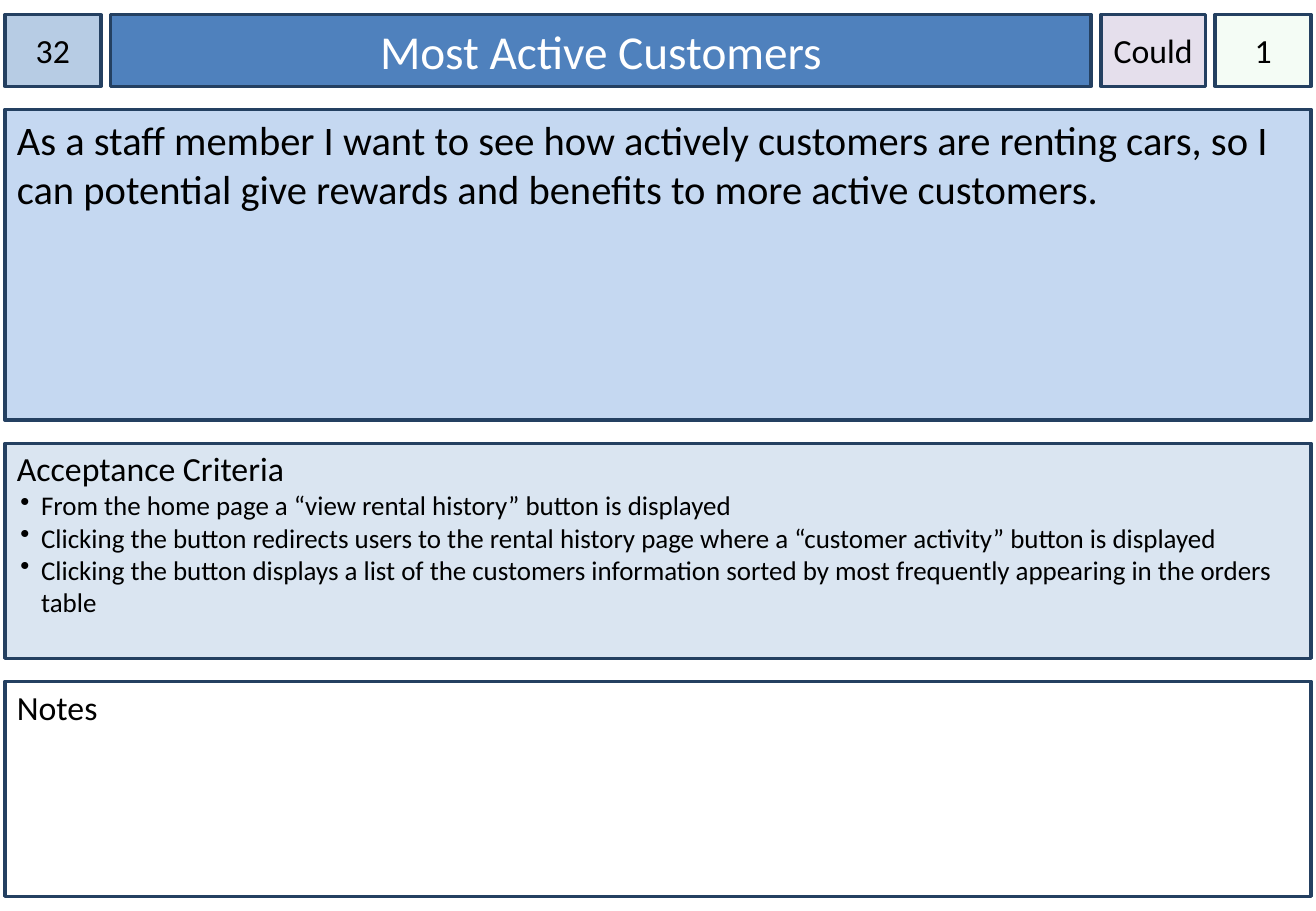
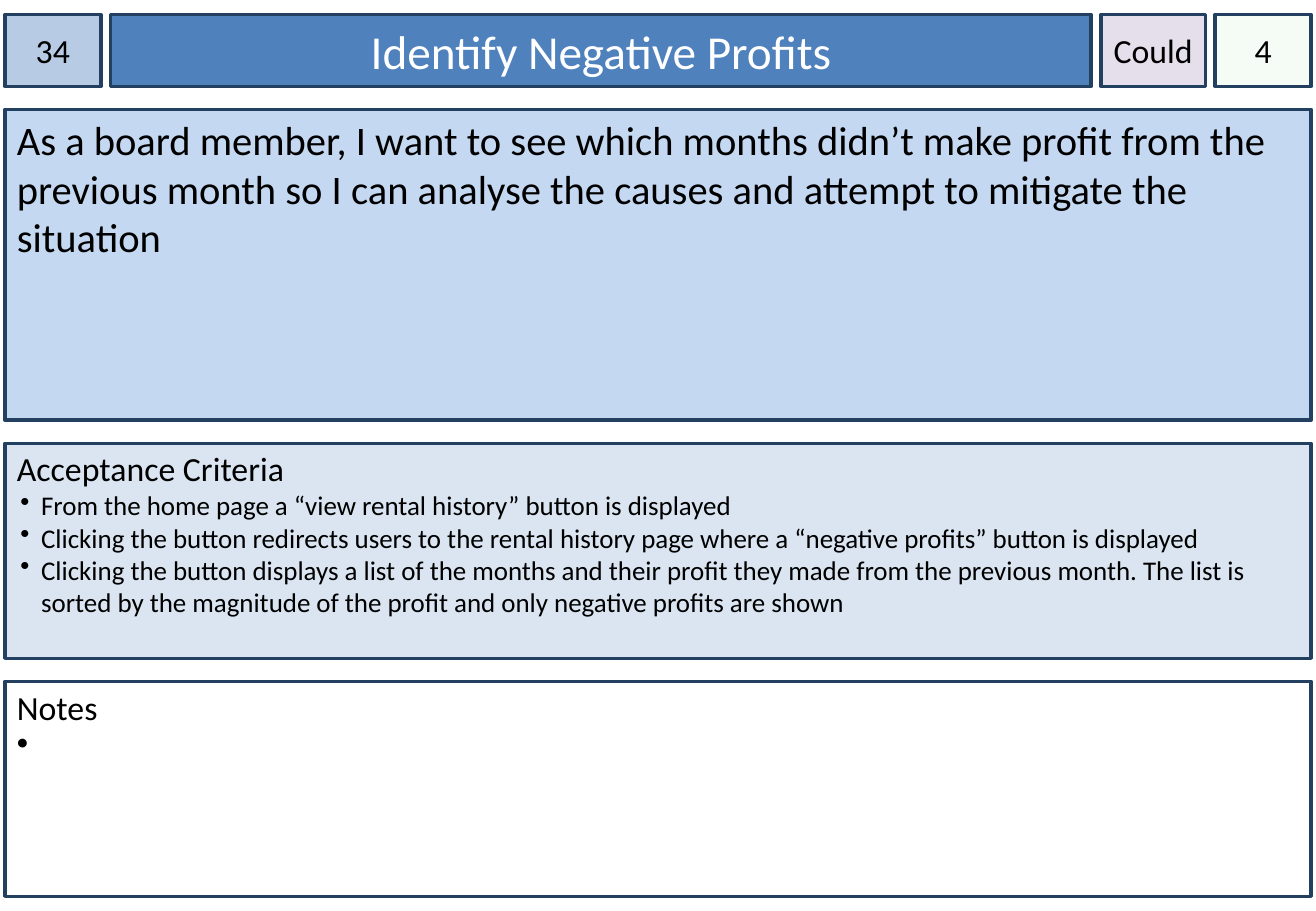
"""Build user story cards, one per slide."""
from dataclasses import dataclass
from typing import Any

import lxml.etree
import pptx
import pptx.dml.color
import pptx.enum.shapes
import pptx.enum.text
import pptx.oxml.ns
import pptx.slide
import pptx.util

Inches = pptx.util.Inches
Pt = pptx.util.Pt
qn = pptx.oxml.ns.qn
ALIGN = pptx.enum.text.PP_ALIGN
ANCHOR = pptx.enum.text.MSO_ANCHOR

COLORS = {
    "line": "244061", "text": "000000", "white": "FFFFFF",
    "number": "B7CCE4", "title": "4F81BD", "priority": "E5DFEC",
    "estimate": "CCF0CD", "story": "C5D8F1", "criteria": "DAE5F1",
    "notes": "FFFFFF",
}
LEFT, TOP = 0.04, 0.12
HEADER_GAP, ROW_GAP = 0.08, 0.19
HEADER_HEIGHT, FULL_WIDTH = 0.59, 10.75
HEADER_WIDTHS = {"number": 0.79, "title": 8.07, "priority": 0.86, "estimate": 0.79}
ROW_HEIGHTS = {"story": 2.56, "criteria": 1.77, "notes": 1.77}
OPACITY = {"estimate": 20}
TITLE_INSET, PANEL_INSET = 0.1, 0.04


@dataclass
class Para:
    text: str
    size: int = 20
    color: str = "text"
    hanging: float = 0.0


@dataclass
class Card:
    number: str
    title: str
    priority: str
    estimate: str
    story: str
    criteria: list[str]
    notes: list[str]


CARDS = [
    Card("32", "Most Active Customers", "Could", "1",
         "As a staff member I want to see how actively customers are renting cars, "
         "so I can potential give rewards and benefits to more active customers.",
         ["From the home page a “view rental history” button is displayed",
          "Clicking the button redirects users to the rental history page where a "
          "“customer activity” button is displayed",
          "Clicking the button displays a list of the customers information sorted by "
          "most frequently appearing in the orders table"],
         []),
    Card("34", "Identify Negative Profits", "Could", "4",
         "As a board member, I want to see which months didn’t make profit from the "
         "previous month so I can analyse the causes and attempt to mitigate the situation",
         ["From the home page a “view rental history” button is displayed",
          "Clicking the button redirects users to the rental history page where a "
          "“negative profits” button is displayed",
          "Clicking the button displays a list of the months and their profit they made "
          "from the previous month. The list is sorted by the magnitude of the profit "
          "and only negative profits are shown"],
         [" "]),
]


def rgb(name: str) -> pptx.dml.color.RGBColor:
    return pptx.dml.color.RGBColor.from_string(COLORS[name])


def apply(target: Any, values: dict[str, Any]) -> None:
    for name, value in values.items():
        setattr(target, name, value)


def add_bullet(p: Any, hanging: float) -> None:
    pPr = p._p.get_or_add_pPr()
    pPr.set("marL", str(Inches(0.2)))
    pPr.set("indent", str(-Inches(hanging)))
    clr = lxml.etree.SubElement(pPr, qn("a:buClr"))
    lxml.etree.SubElement(clr, qn("a:srgbClr"), val=COLORS["text"])
    lxml.etree.SubElement(pPr, qn("a:buChar"), char="•")


def add_box(s: pptx.slide.Slide, kind: str, x: float, y: float, w: float, h: float,
            paras: list[Para], align: Any, frame: dict[str, Any]) -> None:
    sp = s.shapes.add_shape(pptx.enum.shapes.MSO_SHAPE.RECTANGLE,
                            Inches(x), Inches(y), Inches(w), Inches(h))
    sp.shadow.inherit = False
    sp.fill.solid()
    sp.fill.fore_color.rgb = rgb(kind)
    if kind in OPACITY:
        clr = sp._element.spPr.find(qn("a:solidFill")).find(qn("a:srgbClr"))
        lxml.etree.SubElement(clr, qn("a:alpha"), val=str(OPACITY[kind] * 1000))
    sp.line.color.rgb = rgb("line")
    sp.line.width = Pt(2)
    tf = sp.text_frame
    apply(tf, {"word_wrap": True, **frame})
    for i, para in enumerate(paras):
        p = tf.add_paragraph() if i else tf.paragraphs[0]
        p.alignment = align
        if para.hanging:
            add_bullet(p, para.hanging)
        r = p.add_run()
        r.text = para.text
        apply(r.font, {"name": "Calibri", "size": Pt(para.size)})
        r.font.color.rgb = rgb(para.color)


def add_header(s: pptx.slide.Slide, card: Card) -> None:
    x = LEFT
    for kind, width in HEADER_WIDTHS.items():
        is_title = kind == "title"
        text = getattr(card, kind)
        para = Para(text, 28, "white") if is_title else Para(text)
        inset = Inches(TITLE_INSET if is_title else 0)
        add_box(s, kind, x, TOP, width, HEADER_HEIGHT, [para], ALIGN.CENTER,
                {"vertical_anchor": ANCHOR.MIDDLE,
                 "margin_left": inset, "margin_right": inset})
        x += width + HEADER_GAP


def add_panels(s: pptx.slide.Slide, card: Card) -> None:
    content = {
        "story": [Para(card.story, 24)],
        "criteria": [Para("Acceptance Criteria"),
                     *(Para(t, 16, hanging=0.17) for t in card.criteria)],
        "notes": [Para("Notes"), *(Para(t, hanging=0.2) for t in card.notes)],
    }
    y = TOP + HEADER_HEIGHT + ROW_GAP
    for kind, height in ROW_HEIGHTS.items():
        inset = 0.05 if kind == "story" else PANEL_INSET
        add_box(s, kind, LEFT, y, FULL_WIDTH, height, content[kind], ALIGN.LEFT,
                {"vertical_anchor": ANCHOR.TOP, "margin_top": Inches(inset)})
        y += height + ROW_GAP


def main() -> None:
    prs = pptx.Presentation()
    apply(prs, {"slide_width": Inches(10.83), "slide_height": Inches(7.5)})
    for card in CARDS:
        s = prs.slides.add_slide(prs.slide_layouts[6])
        add_header(s, card)
        add_panels(s, card)
    prs.save("out.pptx")


if __name__ == "__main__":
    main()
